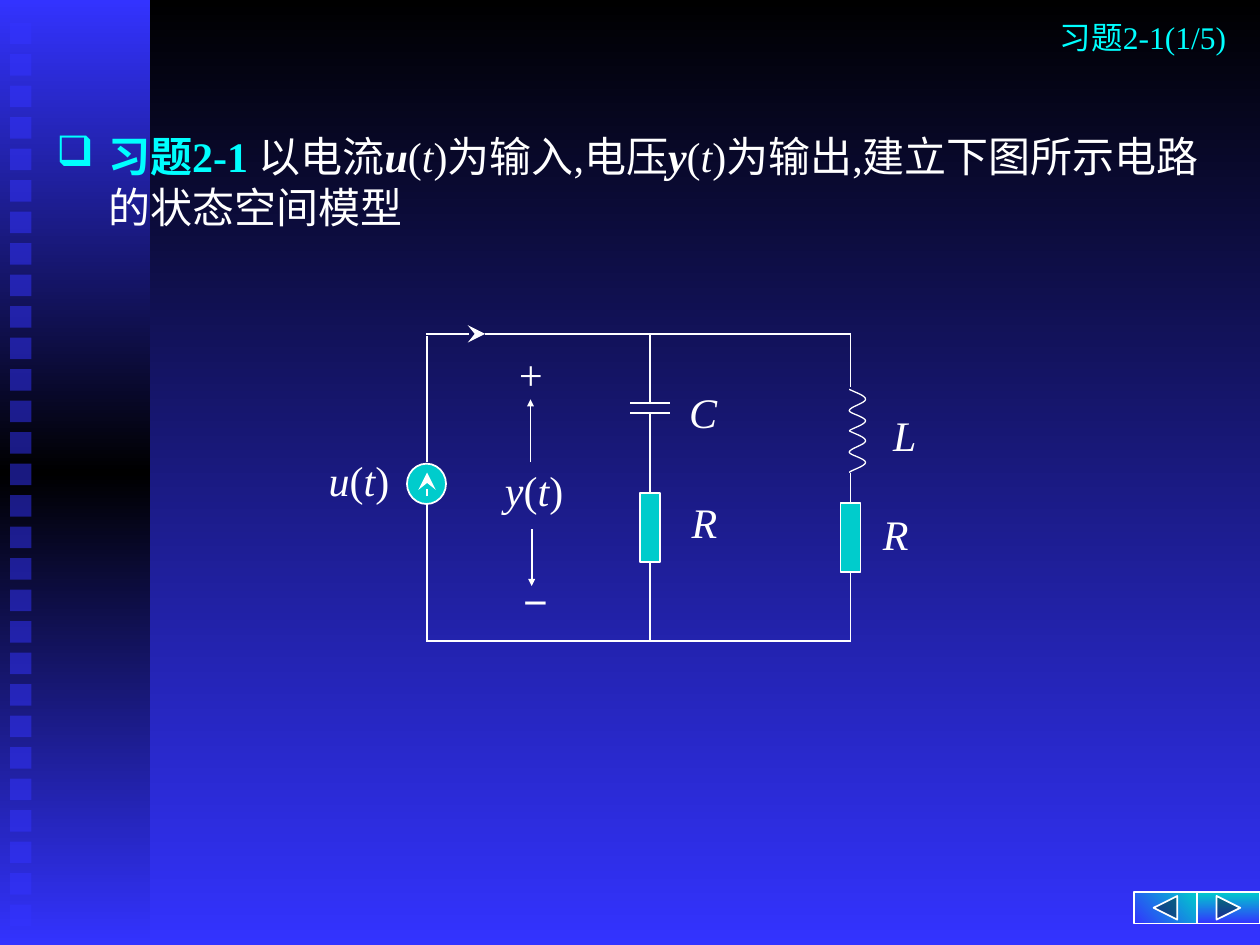
"""Build the exercise 2-1 slide: a circuit with a current source, C-R and L-R branches."""
import copy

import pptx
from lxml import etree
from pptx.dml.color import RGBColor
from pptx.enum.shapes import MSO_CONNECTOR, MSO_SHAPE
from pptx.enum.text import MSO_ANCHOR, PP_ALIGN
from pptx.oxml.ns import qn
from pptx.util import Inches, Pt

WHITE = RGBColor(0xFF, 0xFF, 0xFF)
BLACK = RGBColor(0, 0, 0)
BLUE = RGBColor(0x33, 0x33, 0xFF)
CYAN = RGBColor(0, 0xFF, 0xFF)
TEAL = RGBColor(0, 0xCC, 0xCC)
SERIF = "Times New Roman"
TOP, BOTTOM = 2.65, 5.09
SOURCE_X, MIDDLE_X, RIGHT_X = 3.39, 5.16, 6.75

HEADER = "习题2-1(1/5)"
QUESTION = [("习题2-1 ", "heading"), ("以电流", ""), ("u", "bold italic"), ("(", ""),
            ("t", "italic"), (")为输入,电压", ""), ("y", "bold italic"), ("(", ""),
            ("t", "italic"), (")为输出,建立下图所示电路的状态空间模型", "")]
LABELS = [
    (2.51, 3.56, 0.68, "u(t)", SERIF), (3.91, 3.64, 0.66, "y(t)", SERIF),
    (5.37, 3.02, 0.42, "C", SERIF), (5.39, 3.89, 0.4, "R", SERIF),
    (6.91, 3.99, 0.4, "R", SERIF), (6.99, 3.2, 0.38, "L", SERIF),
    (4, 2.72, 0.42, "+", SERIF), (4.05, 4.52, 0.31, "−", "Arial"),
]
RESISTORS = {"middle": (MIDDLE_X, 3.91), "right": (RIGHT_X, 3.99)}
RESISTOR_WIDTH, RESISTOR_HEIGHT = 0.16, 0.55
WIRES = [
    (3.38, BOTTOM, RIGHT_X, BOTTOM), (3.85, TOP, RIGHT_X, TOP),
    (MIDDLE_X, TOP, MIDDLE_X, 3.2), (5, 3.2, 5.32, 3.2), (5, 3.28, 5.32, 3.28),
    (SOURCE_X, 3.67, SOURCE_X, 2.67), (SOURCE_X, 3.99, SOURCE_X, BOTTOM),
    (RIGHT_X, TOP, RIGHT_X, 3.07),
]
ARROWS = [
    (3.38, TOP, 3.85, TOP, "stealth"), (SOURCE_X, 3.94, SOURCE_X, 3.75, "stealth"),
    (4.21, 3.67, 4.21, 3.17, "triangle"), (4.22, 4.2, 4.22, 4.65, "triangle"),
]
HEAD_SIZES = {"stealth": "lg", "triangle": "sm"}
RESISTOR_LEADS = [("middle", 3.28), ("right", 3.75)]
COIL_TOPS = (3.09, 3.42)
COIL_CURVES = [
    ((0, 0), (0.06, 0.03), (0.13, 0.05), (0.13, 0.08)),
    ((0.13, 0.08), (0.13, 0.11), (0, 0.14), (0, 0.17)),
    ((0, 0.17), (0, 0.19), (0.13, 0.22), (0.13, 0.25)),
    ((0.13, 0.25), (0.13, 0.28), (0.02, 0.31), (0, 0.33)),
]
BUTTONS = [
    (9, MSO_SHAPE.ACTION_BUTTON_BACK_OR_PREVIOUS, (BLUE, TEAL), 315),
    (9.5, MSO_SHAPE.ACTION_BUTTON_FORWARD_OR_NEXT, (TEAL, BLUE), 90),
]


def set_gradient(fill, element, colors, clockwise):
    fill.gradient()
    fill.gradient_angle = 360 - clockwise
    stop_list = element.find(".//" + qn("a:gsLst"))
    for _ in colors[2:]:
        stop_list.append(copy.deepcopy(stop_list[-1]))
    for index, (stop, color) in enumerate(zip(fill.gradient_stops, colors)):
        stop.position = index / (len(colors) - 1)
        stop.color.rgb = color


def add_shape(page, kind, left, top, width, height, color=None, outline=True):
    shape = page.shapes.add_shape(kind, Inches(left), Inches(top), Inches(width), Inches(height))
    shape.shadow.inherit = False
    if color is not None:
        shape.fill.solid()
        shape.fill.fore_color.rgb = color
    if outline:
        shape.line.color.rgb = WHITE
        shape.line.width = Pt(1)
    else:
        shape.line.fill.background()
    return shape


def add_wire(page, x1, y1, x2, y2, head=None):
    wire = page.shapes.add_connector(
        MSO_CONNECTOR.STRAIGHT, Inches(x1), Inches(y1), Inches(x2), Inches(y2))
    wire.line.color.rgb = WHITE
    wire.line.width = Pt(1)
    if head:
        size = HEAD_SIZES[head]
        etree.SubElement(wire.element.find(".//" + qn("a:ln")), qn("a:tailEnd"),
                         type=head, w=size, len=size)
    etree.SubElement(wire.element.spPr, qn("a:effectLst"))
    return wire


def add_text(page, left, top, width, height, spans, size, color, font=SERIF, wrap=True):
    box = page.shapes.add_textbox(Inches(left), Inches(top), Inches(width), Inches(height))
    box.text_frame.word_wrap = wrap
    para = box.text_frame.paragraphs[0]
    para.font.name = font
    para.font.size = Pt(size)
    para.font.color.rgb = color
    for text, style in spans:
        span = para.add_run()
        span.text = text
        span.font.name = font
        span.font.size = Pt(size)
        span.font.color.rgb = CYAN if style == "heading" else color
        span.font.bold = style == "heading" or "bold" in style
        span.font.italic = "italic" in style
    return box


def add_sidebar(page):
    band = add_shape(page, MSO_SHAPE.RECTANGLE, 0, 0, 1.19, 7.5, outline=False)
    set_gradient(band.fill, band.element, (BLUE, BLACK, BLUE), 90)
    for row in range(29):
        square = add_shape(page, MSO_SHAPE.RECTANGLE, 0.08, 0.18 + 0.25 * row,
                           0.17, 0.17, BLUE, outline=False)
        color = square.element.spPr.find(qn("a:solidFill"))[0]
        etree.SubElement(color, qn("a:alpha"), val="50000")


def add_question(page):
    box = add_text(page, 0.35, 0.99, 9.37, 6.01, QUESTION, 24, WHITE)
    para = box.text_frame.paragraphs[0]
    para.space_before = Pt(6)
    properties = para._p.get_or_add_pPr()
    properties.set("marL", str(Inches(0.41)))
    properties.set("indent", str(Inches(-0.41)))
    bullet_color = etree.Element(qn("a:buClr"))
    etree.SubElement(bullet_color, qn("a:srgbClr"), val=str(CYAN))
    bullet = etree.Element(qn("a:buChar"), char="❑")
    spacing = properties.find(qn("a:spcBef"))
    spacing.addnext(bullet_color)
    bullet_color.addnext(bullet)


def add_coil(page, top):
    points = []
    for curve in COIL_CURVES:
        for step in range(9):
            t = step / 8
            weights = ((1 - t) ** 3, 3 * t * (1 - t) ** 2, 3 * t * t * (1 - t), t ** 3)
            x, y = (sum(w * p[axis] for w, p in zip(weights, curve)) for axis in (0, 1))
            points.append((Inches(6.74 + x), Inches(top + y)))
    builder = page.shapes.build_freeform(*points[0])
    builder.add_line_segments(points[1:], close=False)
    coil = builder.convert_to_shape()
    coil.shadow.inherit = False
    coil.fill.background()
    coil.line.color.rgb = WHITE
    coil.line.width = Pt(0.75)


def add_circuit(page):
    add_shape(page, MSO_SHAPE.OVAL, 3.23, 3.68, 0.31, 0.32, TEAL)
    resistors = {
        name: add_shape(page, MSO_SHAPE.RECTANGLE, x - RESISTOR_WIDTH / 2, top,
                        RESISTOR_WIDTH, RESISTOR_HEIGHT, TEAL)
        for name, (x, top) in RESISTORS.items()}
    for ends in WIRES + ARROWS:
        add_wire(page, *ends)
    for name, start in RESISTOR_LEADS:
        x, top = RESISTORS[name]
        add_wire(page, x, start, x, top).end_connect(resistors[name], 0)
        lower = add_wire(page, x, top + RESISTOR_HEIGHT, x, BOTTOM)
        lower.begin_connect(resistors[name], 2)
    for top in COIL_TOPS:
        add_coil(page, top)
    for left, top, width, text, font in LABELS:
        spans = [(letter, "" if letter in "()" else "italic") for letter in text]
        add_text(page, left, top, width, 0.5, spans, 24, WHITE, font, wrap=False)


def main():
    deck = pptx.Presentation()
    deck.slide_width, deck.slide_height = Inches(10), Inches(7.5)
    page = deck.slides.add_slide(deck.slide_layouts[6])
    set_gradient(page.background.fill, page.element, (BLACK, BLUE), 90)
    add_sidebar(page)
    add_question(page)
    add_circuit(page)
    header = add_text(page, 1.33, 0.17, 8.5, 0.25, [(HEADER, "")], 18, CYAN)
    header.text_frame.vertical_anchor = MSO_ANCHOR.MIDDLE
    header.text_frame.paragraphs[0].alignment = PP_ALIGN.RIGHT
    for left, kind, colors, angle in BUTTONS:
        button = add_shape(page, kind, left, 7.08, 0.5, 0.25)
        set_gradient(button.fill, button.element, colors, angle)
    deck.save("out.pptx")


if __name__ == "__main__":
    main()
